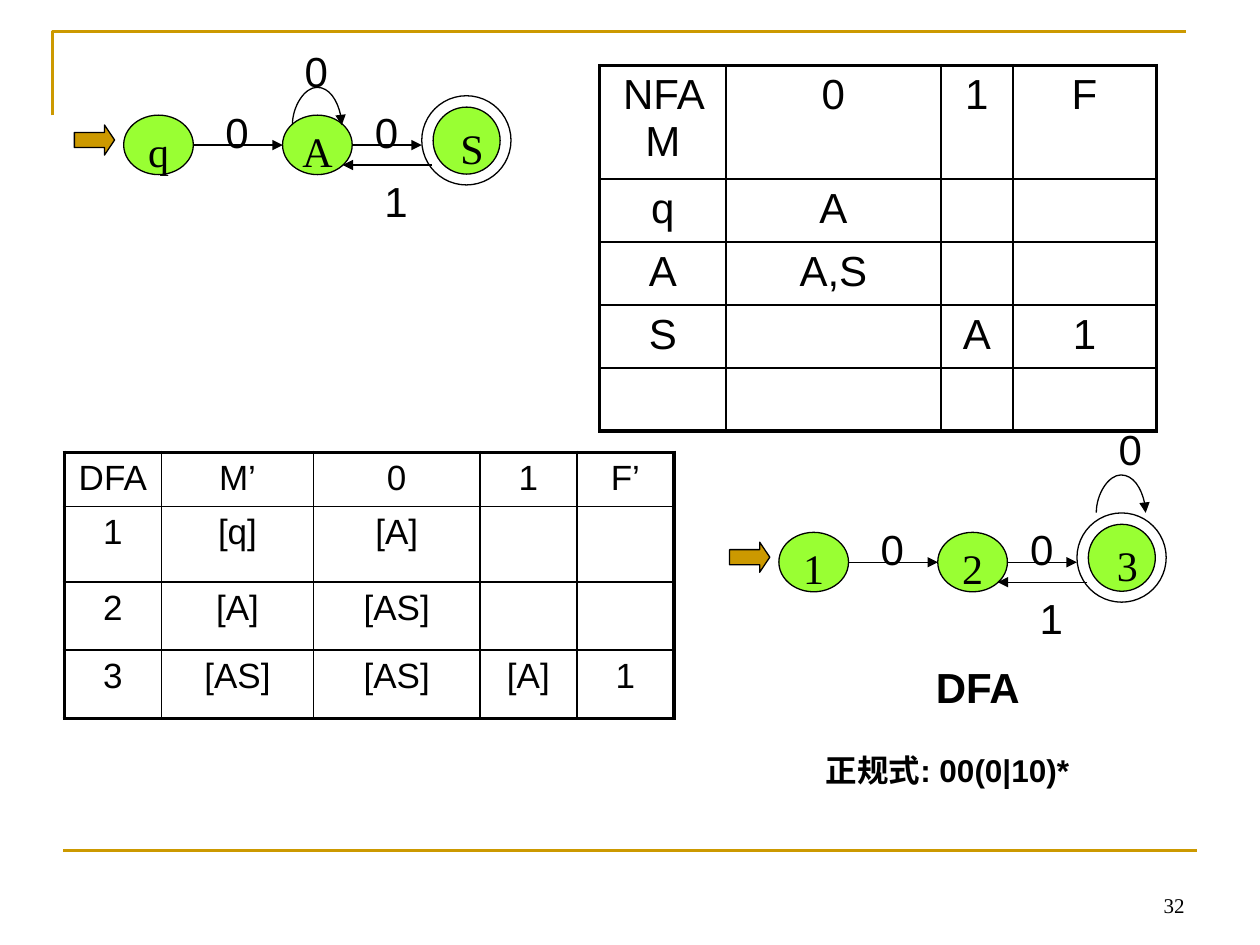
import lxml.etree
import pptx
import pptx.dml.color
import pptx.enum.shapes
import pptx.enum.text
import pptx.oxml
import pptx.oxml.ns
import pptx.util

Pt = pptx.util.Pt
qn = pptx.oxml.ns.qn
SHAPE = pptx.enum.shapes.MSO_SHAPE
CONNECTOR = pptx.enum.shapes.MSO_CONNECTOR
ALIGN = pptx.enum.text.PP_ALIGN
ANCHOR = pptx.enum.text.MSO_ANCHOR
GOLD, GREEN, WHITE, BLACK = "CC9900", "99FF33", "FFFFFF", "000000"


def rgb(value):
    return pptx.dml.color.RGBColor.from_string(value)


def write(frame, text, size, name="Arial", bold=False, align=ALIGN.CENTER):
    para = frame.paragraphs[0]
    para.alignment = align
    span = para.add_run()
    span.text = text
    for key, value in {"size": Pt(size), "name": name, "bold": bold}.items():
        setattr(span.font, key, value)
    span.font.color.rgb = rgb(BLACK)


deck = pptx.Presentation()
deck.slide_width, deck.slide_height = Pt(720), Pt(540)
page = deck.slides.add_slide(deck.slide_layouts[6])

# Corner rule at the top
builder = page.shapes.build_freeform(Pt(30), Pt(66), scale=1.0)
builder.add_line_segments([(Pt(30), Pt(18)), (Pt(678), Pt(18))], close=False)
corner = builder.convert_to_shape()
corner.shadow.inherit = False
corner.fill.background()
corner.line.color.rgb = rgb(GOLD)
corner.line.width = Pt(1.5)

# Transition tables: left, top, text size, column widths, row heights, rows
tables = [
    (342.75, 37.5, 24, [72, 123, 41, 82], [64.8, 36, 36, 36, 36],
     [["NFA M", "0", "1", "F"],
      ["q", "A", "", ""],
      ["A", "A,S", "", ""],
      ["S", "", "A", "1"],
      ["", "", "", ""]]),
    (36.75, 258.5, 20, [55.5, 87, 95, 55.5, 55.5], [31, 43.2, 38.9, 38.9],
     [["DFA", "M’", "0", "1", "F’"],
      ["1", "[q]", "[A]", "", ""],
      ["2", "[A]", "[AS]", "", ""],
      ["3", "[AS]", "[AS]", "[A]", "1"]]),
]
for left, top, size, widths, heights, rows in tables:
    grid = page.shapes.add_table(len(rows), len(widths), Pt(left), Pt(top),
                                 Pt(sum(widths)), Pt(sum(heights))).table
    for column, width in zip(grid.columns, widths):
        column.width = Pt(width)
    for r, row in enumerate(rows):
        grid.rows[r].height = Pt(heights[r])
        for c, text in enumerate(row):
            cell = grid.cell(r, c)
            if text:
                write(cell.text_frame, text, size)
            outer = {"lnL": c == 0, "lnR": c == len(widths) - 1,
                     "lnT": r == 0, "lnB": r == len(rows) - 1}
            properties = cell._tc.get_or_add_tcPr()
            for side, thick in outer.items():
                border = lxml.etree.SubElement(properties, qn("a:" + side),
                                               w=str(Pt(2.25 if thick else 1)))
                fill = lxml.etree.SubElement(border, qn("a:solidFill"))
                lxml.etree.SubElement(fill, qn("a:srgbClr"), val=BLACK)
            cell.fill.background()

# Both automata share one layout: offset, state names, loop start, loop label
automata = [
    (0, 0, "qAS", (167, 71.5), (167, 20)),
    (374.4, 238.4, "123", (626.4, 293), (632.2, 236.2)),
]
# Text boxes: left, top, width, height, text, size, font, bold
texts = [
    (468, 372.2, 181.5, 36, "DFA", 24, "Arial", True),
    (439.2, 423.4, 204.5, 28.8, "正规式: 00(0|10)*", 18, "Arial", True),
]
# Lines: from, to, colour, width, arrowhead
lines = [(36, 486, 684, 486, GOLD, 1.5, False)]
loop_span, loop_depth = 28.2, 0.125

for dx, dy, names, loop_start, loop_label in automata:
    # States and start arrow
    for kind, x, y, width, height, color in [
            (SHAPE.OVAL, 70.7, 65.8, 39.8, 34, GREEN),
            (SHAPE.OVAL, 241, 54.7, 51, 51, WHITE),
            (SHAPE.OVAL, 247.5, 61.2, 38.3, 38.3, GREEN),
            (SHAPE.OVAL, 161.5, 65.8, 39.8, 34, GREEN),
            (SHAPE.RIGHT_ARROW, 42.5, 71.4, 23, 17.2, GOLD)]:
        shape = page.shapes.add_shape(kind, Pt(x + dx), Pt(y + dy), Pt(width), Pt(height))
        shape.shadow.inherit = False
        shape.fill.solid()
        shape.fill.fore_color.rgb = rgb(color)
        shape.line.color.rgb = rgb(BLACK)
        shape.line.width = Pt(0.75)
        if kind == SHAPE.RIGHT_ARROW:
            shape.adjustments[1] = 0.335

    # State names and transition labels
    for name, x, y, width, height in zip(names, (70.7, 161.5, 250.6), (65.8, 65.8, 64),
                                         (39.8, 39.8, 38.3), (34, 34, 38.3)):
        texts.append((x + dx, y + dy, width, height, name, 24, "Times New Roman", False))
    for x, y, label in [(121.7 + dx, 54.7 + dy, "0"), (207.2 + dx, 54.7 + dy, "0"),
                        (*loop_label, "0"), (212.6 + dx, 94.4 + dy, "1")]:
        texts.append((x, y, 24.5, 36, label, 24, "Arial", False))

    # Transitions
    for x1, y1, x2, y2 in [(110.6, 82.9, 161.6, 82.9), (201.4, 82.9, 241, 82.9),
                           (247, 94.3, 195.8, 94.3), (247.5, 61.2, 247.5, 61.2)]:
        lines.append((x1 + dx, y1 + dy, x2 + dx, y2 + dy, BLACK, 0.75, True))
    middle = loop_start[0] + loop_span / 2
    lines.append((middle, loop_start[1] + loop_span / 2, middle + loop_depth,
                  loop_start[1] - loop_span / 2, BLACK, 0.75, True))

for x1, y1, x2, y2, color, width, arrow in lines:
    curved = x2 - x1 == loop_depth
    line = page.shapes.add_connector(CONNECTOR.CURVE if curved else CONNECTOR.STRAIGHT,
                                     Pt(x1), Pt(y1), Pt(x2), Pt(y2))
    line.line.color.rgb = rgb(color)
    line.line.width = Pt(width)
    properties = line._element.spPr
    if arrow:
        lxml.etree.SubElement(line.line._get_or_add_ln(), qn("a:tailEnd"), type="triangle")
    lxml.etree.SubElement(properties, qn("a:effectLst"))
    if curved:
        # Quarter turn, with the bend far above both ends
        properties.find(qn("a:xfrm")).set("rot", "5400000")
        guides = properties.find(qn("a:prstGeom")).find(qn("a:avLst"))
        lxml.etree.SubElement(guides, qn("a:gd"), name="adj1", fmla="val -19000000")

for x, y, width, height, text, size, name, bold in texts:
    box = page.shapes.add_textbox(Pt(x), Pt(y), Pt(width), Pt(height))
    box.text_frame.word_wrap = True
    box.text_frame.margin_top = Pt(6)
    write(box.text_frame, text, size, name, bold)

# Page number
box = page.shapes.add_textbox(Pt(516), Pt(492), Pt(168), Pt(36))
box.text_frame.word_wrap = True
box.text_frame.vertical_anchor = ANCHOR.BOTTOM
write(box.text_frame, "32", 12, "Times New Roman", align=ALIGN.RIGHT)

deck.save("out.pptx")
